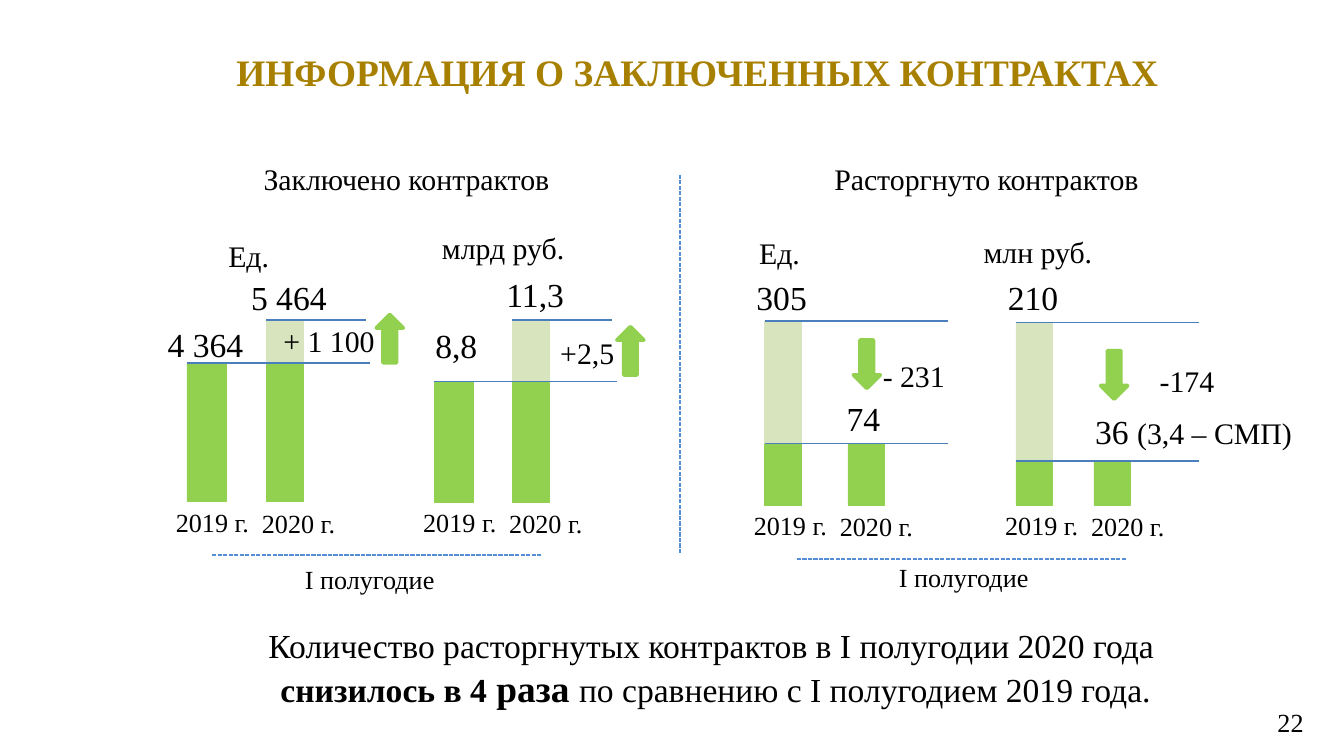
from pptx import Presentation
from pptx.dml.color import RGBColor
from pptx.enum.dml import MSO_LINE
from pptx.enum.shapes import MSO_CONNECTOR, MSO_SHAPE as SHAPE
from pptx.enum.text import MSO_ANCHOR as ANCHOR, PP_ALIGN as ALIGN
from pptx.oxml.ns import qn
from pptx.util import Inches, Pt
from lxml import etree

FONT = "Times New Roman"
GREEN, PALE, BLUE, DASH = "92D050", "D7E4BD", "4B7EBC", "558ED5"
BLACK, GOLD = "000000", "A88000"
YEARS = ["2019 г.", "2020 г."]
LINE_W = 1.36

GROUPS = [
    dict(unit=("Ед.", 1.6, 1.72, 0.51), bars=(1.39, 1.98), widths=(0.29, 0.28),
         top=2.38, mid=2.7, base=3.73, label_y=3.72, tall=1,
         values=[("4 364", 1.15, 2.36, 0.77), ("5 464", 1.77, 2.01, 0.77)],
         change=("+ 1 100", 2.01, 2.35, 0.89), arrow=(2.8, 2.34)),
    dict(unit=("млрд руб.", 3.19, 1.66, 1.12), bars=(3.23, 3.81), widths=(0.29, 0.28),
         top=2.38, mid=2.84, base=3.74, label_y=3.72, tall=1,
         values=[("8,8", 3.14, 2.37, 0.52), ("11,3", 3.67, 1.99, 0.63)],
         change=("+2,5", 4.07, 2.44, 0.61), arrow=(4.59, 2.43)),
    dict(unit=("Ед.", 5.55, 1.7, 0.51), bars=(5.69, 6.31), widths=(0.27, 0.27),
         top=2.39, mid=3.3, base=3.76, label_y=3.74, tall=0,
         values=[("305", 5.53, 2.01, 0.58), ("74", 6.2, 2.91, 0.45)],
         change=("- 231", 6.47, 2.61, 0.67), arrow=(6.35, 2.53)),
    dict(unit=("млн руб.", 7.22, 1.69, 1.02), bars=(7.56, 8.14), widths=(0.27, 0.27),
         top=2.4, mid=3.43, base=3.76, label_y=3.74, tall=0,
         values=[("210", 7.4, 2.01, 0.58), ("36 ", 8.05, 3.01, 1.68)],
         note="(3,4 – СМП)",
         change=("-174", 8.53, 2.65, 0.61), arrow=(8.19, 2.61)),
]
HEADINGS = [("Заключено контрактов", 1.49, 1.15, 3.07),
            ("Расторгнуто контрактов", 6.09, 1.15, 2.5)]
PERIODS = [("I полугодие", 2.17, 4.14, 1.17), ("I полугодие", 6.59, 4.13, 1.17)]
DASHED = [(5.06, 1.3, 5.06, 4.12), (1.58, 4.13, 4.03, 4.13), (5.93, 4.16, 8.38, 4.16)]
SUMMARY = [
    [("Количество расторгнутых контрактов в I полугодии 2020 года", 18, False)],
    [(" снизилось в 4", 18, True), (" раза ", 20, True),
     ("по сравнению с I полугодием 2019 года.", 18, False)],
]


def rgb(color):
    return RGBColor.from_string(color)


def add_run(p, text, size, bold=False, color=BLACK):
    r = p.add_run()
    r.text = text
    r.font.name, r.font.size, r.font.bold = FONT, Pt(size), bold
    r.font.color.rgb = rgb(color)


def text_box(s, text, x, y, w, size, h=0.37, align=ALIGN.LEFT, wrap=False,
             anchor=ANCHOR.TOP, bold=False, color=BLACK, inset=(0.1, 0.05)):
    tf = s.shapes.add_textbox(Inches(x), Inches(y), Inches(w), Inches(h)).text_frame
    tf.word_wrap, tf.vertical_anchor = wrap, anchor
    tf.margin_left = tf.margin_right = Inches(inset[0])
    tf.margin_top = tf.margin_bottom = Inches(inset[1])
    p = tf.paragraphs[0]
    p.alignment = align
    if text:
        add_run(p, text, size, bold, color)
    return p


def add_shape(s, kind, x, y, w, h, color, line=0.25):
    sp = s.shapes.add_shape(kind, Inches(x), Inches(y), Inches(w), Inches(h))
    sp.shadow.inherit = False
    sp.fill.solid()
    sp.fill.fore_color.rgb = sp.line.color.rgb = rgb(color)
    sp.line.width = Pt(line)
    return sp


def add_line(s, x1, y1, x2, y2, color, dash=None):
    c = s.shapes.add_connector(MSO_CONNECTOR.STRAIGHT, Inches(x1), Inches(y1),
                               Inches(x2), Inches(y2))
    c.line.color.rgb = rgb(color)
    c.line.width = Pt(0.75)
    if dash:
        c.line.dash_style = dash
    etree.SubElement(c._element.spPr, qn("a:effectLst"))


def add_group(s, g):
    first, tall = g["bars"][0], g["bars"][g["tall"]]
    top, mid, base = g["top"], g["mid"], g["base"]
    for x, w in zip(g["bars"], g["widths"]):
        add_shape(s, SHAPE.RECTANGLE, x, mid, w, base - mid, GREEN)
    add_shape(s, SHAPE.RECTANGLE, tall, top, g["widths"][g["tall"]], mid - top, PALE)
    add_line(s, first, mid, first + LINE_W, mid, BLUE)
    add_line(s, tall, top, tall + (0.74 if g["tall"] else LINE_W), top, BLUE)

    arrow = add_shape(s, SHAPE.DOWN_ARROW, *g["arrow"], 0.2, 0.36, GREEN, 2)
    arrow.rotation = 180 if g["tall"] else 0

    text_box(s, *g["unit"], 16)
    text_box(s, *g["change"], 16)
    for value in g["values"]:
        p = text_box(s, *value, 18, h=0.4)
    if "note" in g:
        add_run(p, g["note"], 16)
    for i, year in enumerate(YEARS):
        text_box(s, year, first - 0.18 + 0.64 * i, g["label_y"] + 0.01 * i, 0.75, 14,
                 h=0.34)


prs = Presentation()
prs.slide_width, prs.slide_height = Inches(10), Inches(10 * 9 / 16)
s = prs.slides.add_slide(prs.slide_layouts[6])

text_box(s, "ИНФОРМАЦИЯ О ЗАКЛЮЧЕННЫХ КОНТРАКТАХ", 0.86, 0.26, 8.66, 20, h=0.55,
         align=ALIGN.CENTER, wrap=True, anchor=ANCHOR.MIDDLE, bold=True, color=GOLD)
for heading in HEADINGS:
    text_box(s, *heading, 16, align=ALIGN.CENTER)
for ends in DASHED:
    add_line(s, *ends, DASH, MSO_LINE.SQUARE_DOT)
for g in GROUPS:
    add_group(s, g)
for period in PERIODS:
    text_box(s, *period, 14, h=0.34)

p = text_box(s, "", 1.86, 4.6, 6.87, 18, h=0.74, align=ALIGN.CENTER)
for i, line in enumerate(SUMMARY):
    if i:
        p.add_line_break()
    for text, size, bold in line:
        add_run(p, text, size, bold)

text_box(s, "22", 9.23, 5.2, 0.54, 14, h=0.34, align=ALIGN.RIGHT, wrap=True,
         anchor=ANCHOR.MIDDLE, inset=(0.07, 0.04))

prs.save("out.pptx")
